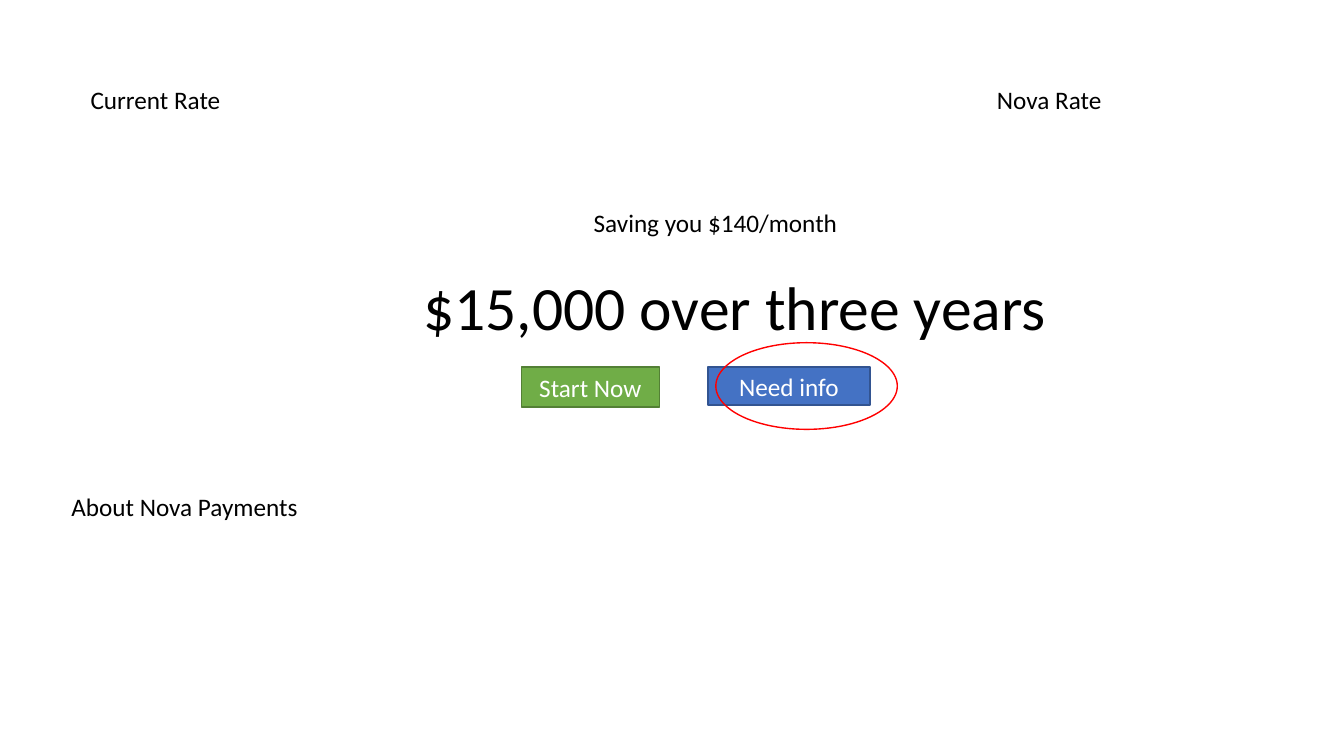
"""Build the rate comparison slide with its savings message and two buttons."""
from pptx import Presentation
from pptx.dml.color import RGBColor
from pptx.enum.shapes import MSO_SHAPE
from pptx.enum.text import MSO_ANCHOR, PP_ALIGN
from pptx.util import Inches, Pt

FONT = "Calibri"
LABELS = [
    ("Current Rate", (0.8, 0.79, 3, 0.4), 18, PP_ALIGN.LEFT),
    ("Nova Rate", (9.79, 0.79, 3, 0.4), 18, PP_ALIGN.LEFT),
    ("Saving you $140/month", (5.79, 2.01, 4, 0.4), 18, PP_ALIGN.LEFT),
    ("$15,000 over three years", (3.79, 2.62, 7, 0.85), 44, PP_ALIGN.CENTER),
    ("About Nova Payments", (0.61, 4.83, 12.5, 0.4), 18, PP_ALIGN.LEFT),
]
BUTTONS = [
    ("Start Now", (5.17, 3.64, 1.37, 0.4), "70AD47", "538035"),
    ("Need info", (7.02, 3.64, 1.61, 0.38), "4472C4", "325491"),
]
HIGHLIGHT = (7.1, 3.4, 1.8, 0.86)


def color(value):
    return RGBColor.from_string(value)


def write(shape, text, size, text_color, align):
    frame = shape.text_frame
    frame.word_wrap = True
    frame.text = text
    paragraph = frame.paragraphs[0]
    paragraph.alignment = align
    font = paragraph.runs[0].font
    font.name, font.size = FONT, Pt(size)
    font.color.rgb = color(text_color)


def add_outlined(slide, kind, box, line_color, fill_color=None):
    shape = slide.shapes.add_shape(kind, *map(Inches, box))
    shape.shadow.inherit = False
    if fill_color:
        shape.fill.solid()
        shape.fill.fore_color.rgb = color(fill_color)
    else:
        shape.fill.background()
    shape.line.color.rgb = color(line_color)
    shape.line.width = Pt(1)
    return shape


def main():
    presentation = Presentation()
    presentation.slide_width = Inches(13.33)
    presentation.slide_height = Inches(7.5)
    slide = presentation.slides.add_slide(presentation.slide_layouts[6])

    for text, box, size, align in LABELS:
        label = slide.shapes.add_textbox(*map(Inches, box))
        write(label, text, size, "000000", align)

    for text, box, fill_color, line_color in BUTTONS:
        button = add_outlined(slide, MSO_SHAPE.RECTANGLE, box, line_color, fill_color)
        button.text_frame.vertical_anchor = MSO_ANCHOR.MIDDLE
        write(button, text, 18, "FFFFFF", PP_ALIGN.CENTER)

    add_outlined(slide, MSO_SHAPE.OVAL, HIGHLIGHT, "FF0000")
    presentation.save("out.pptx")


if __name__ == "__main__":
    main()
